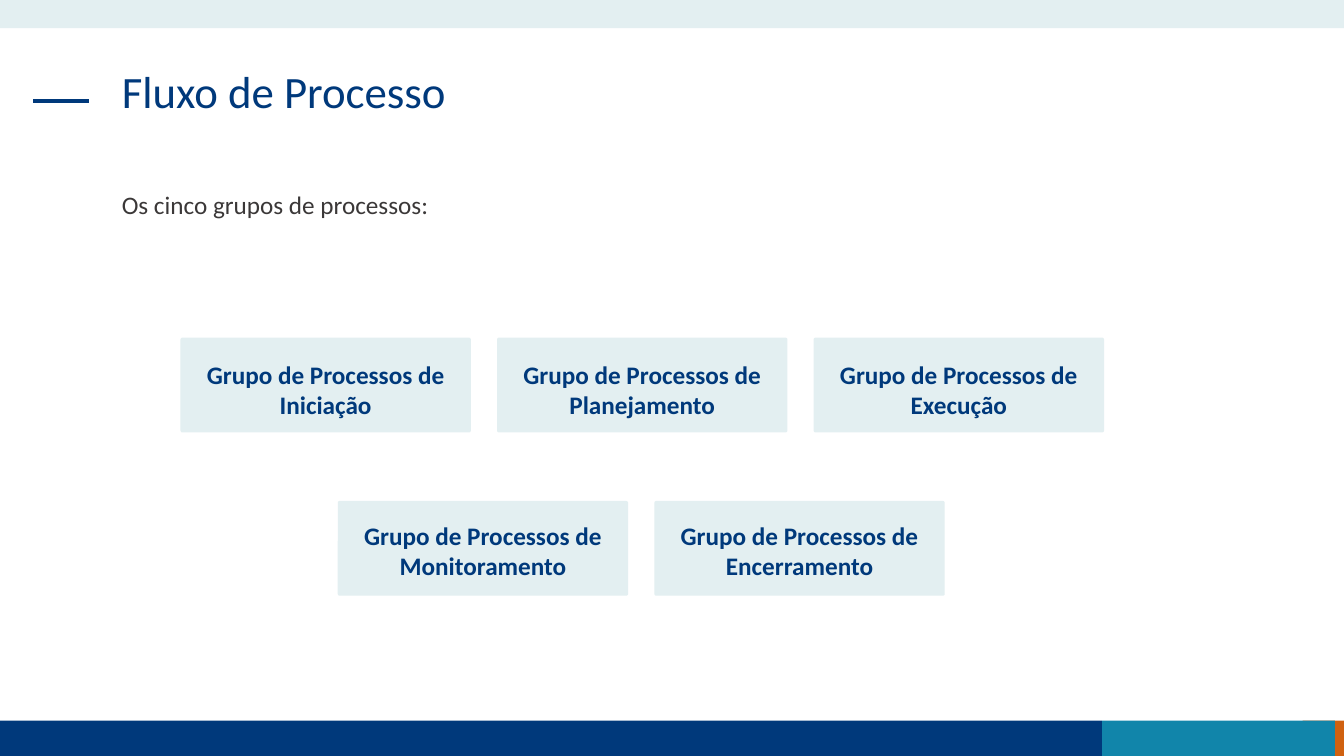
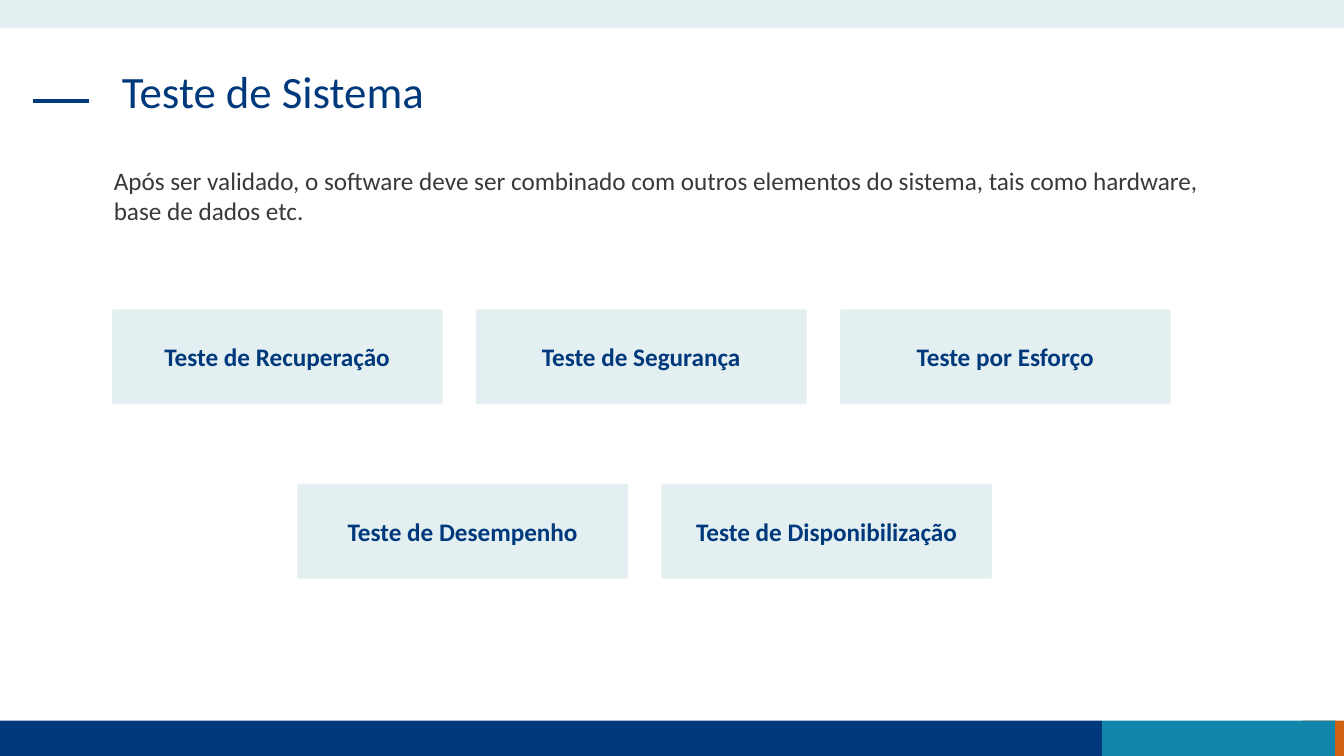
from lxml import etree
from pptx import Presentation
from pptx.dml.color import RGBColor
from pptx.enum.shapes import MSO_CONNECTOR, MSO_SHAPE
from pptx.enum.text import MSO_ANCHOR, PP_ALIGN
from pptx.oxml.ns import qn
from pptx.util import Inches, Pt

RECTANGLE = MSO_SHAPE.RECTANGLE
ROUNDED = MSO_SHAPE.ROUNDED_RECTANGLE
STRAIGHT = MSO_CONNECTOR.STRAIGHT
TOP, MIDDLE = MSO_ANCHOR.TOP, MSO_ANCHOR.MIDDLE
LEFT, CENTER = PP_ALIGN.LEFT, PP_ALIGN.CENTER

WIDTH, HEIGHT = 13.33, 7.5
FONT = "Calibri"
COLORS = {
    "navy": "00397B",
    "teal": "1185AA",
    "orange": "D06110",
    "pale": "E3EFF1",
    "text": "3B3838",
}


def color(name):
    """Return the palette colour with this name."""
    return RGBColor.from_string(COLORS[name])


def write(frame, text, size=18, ink="text", bold=False, align=LEFT,
          anchor=TOP, spacing=1.0):
    """Fill a text frame with one formatted paragraph."""
    frame.word_wrap = True
    frame.vertical_anchor = anchor
    para = frame.paragraphs[0]
    para.alignment = align
    para.line_spacing = spacing
    span = para.add_run()
    span.text = text
    span.font.name = FONT
    span.font.size = Pt(size)
    span.font.bold = bold
    span.font.color.rgb = color(ink)


def add_text(page, box, text, **style):
    """Add a text box at box (left, top, width, height)."""
    shape = page.shapes.add_textbox(*map(Inches, box))
    write(shape.text_frame, text, **style)


def add_block(page, box, fill, kind=RECTANGLE):
    """Add a plain filled shape without outline or shadow."""
    shape = page.shapes.add_shape(kind, *map(Inches, box))
    shape.shadow.inherit = False
    shape.fill.solid()
    shape.fill.fore_color.rgb = color(fill)
    shape.line.fill.background()
    return shape


def add_footer(page, top=7.15):
    """Draw the three-colour band along the bottom edge."""
    for left, right, fill in ((12.92, WIDTH, "orange"), (0, 10.93, "navy"),
                              (10.93, 13.24, "teal")):
        add_block(page, (left, top, right - left, HEIGHT - top), fill)


def add_header(page, title):
    """Draw the top band, the title dash and the title."""
    add_block(page, (0, 0, WIDTH, 0.28), "pale")
    dash = page.shapes.add_connector(
        STRAIGHT, Inches(0.33), Inches(1), Inches(0.88), Inches(1))
    dash.line.color.rgb = color("navy")
    dash.line.width = Pt(3)
    etree.SubElement(dash._element.spPr, qn("a:effectLst"))
    add_text(page, (1.11, 0.64, 11.1, 0.94), title, size=32, ink="navy",
             spacing=0.9)


def add_card_row(page, left, top, labels, width, gap, drop=0, height=0.94):
    """Place equal labelled cards from left to right, text lowered by drop."""
    for index, label in enumerate(labels):
        box = (left + index * (width + gap), top, width, height)
        card = add_block(page, box, "pale", ROUNDED)
        card.adjustments[0] = 0.02
        card.text_frame.margin_top = Inches(0.05 + 2 * drop)
        write(card.text_frame, label, ink="navy", bold=True, align=CENTER,
              anchor=MIDDLE)


def add_page(deck, title):
    """Add a blank slide with the shared frame and title."""
    page = deck.slides.add_slide(deck.slide_layouts[6])
    add_footer(page)
    add_header(page, title)
    return page


def add_process_page(deck):
    """Build the slide of the five process groups."""
    page = add_page(deck, "Fluxo de Processo")
    add_text(page, (1.11, 1.86, 11.1, 0.94), "Os cinco grupos de processos:",
             spacing=0.9)
    rows = (
        (1.79, 3.35, 0.04, ("Iniciação", "Planejamento", "Execução")),
        (3.35, 4.97, 0.02, ("Monitoramento", "Encerramento")),
    )
    for left, top, drop, names in rows:
        labels = [f"Grupo de Processos de {name}" for name in names]
        add_card_row(page, left, top, labels, width=2.88, gap=0.26, drop=drop)


def add_test_page(deck):
    """Build the slide of the system test types."""
    page = add_page(deck, "Teste de Sistema")
    add_text(page, (1.03, 1.58, 11.19, 0.71),
             "Após ser validado, o software deve ser combinado com outros "
             "elementos do sistema, tais como hardware, base de dados etc.",
             anchor=MIDDLE)
    rows = (
        (1.11, 3.07, ("Teste de Recuperação", "Teste de Segurança",
                      "Teste por Esforço")),
        (2.95, 4.8, ("Teste de Desempenho", "Teste de Disponibilização")),
    )
    for left, top, labels in rows:
        add_card_row(page, left, top, labels, width=3.28, gap=0.33)


def main():
    """Build and save the deck."""
    deck = Presentation()
    deck.slide_width, deck.slide_height = Inches(WIDTH), Inches(HEIGHT)
    add_process_page(deck)
    add_test_page(deck)
    deck.save("out.pptx")


if __name__ == "__main__":
    main()
